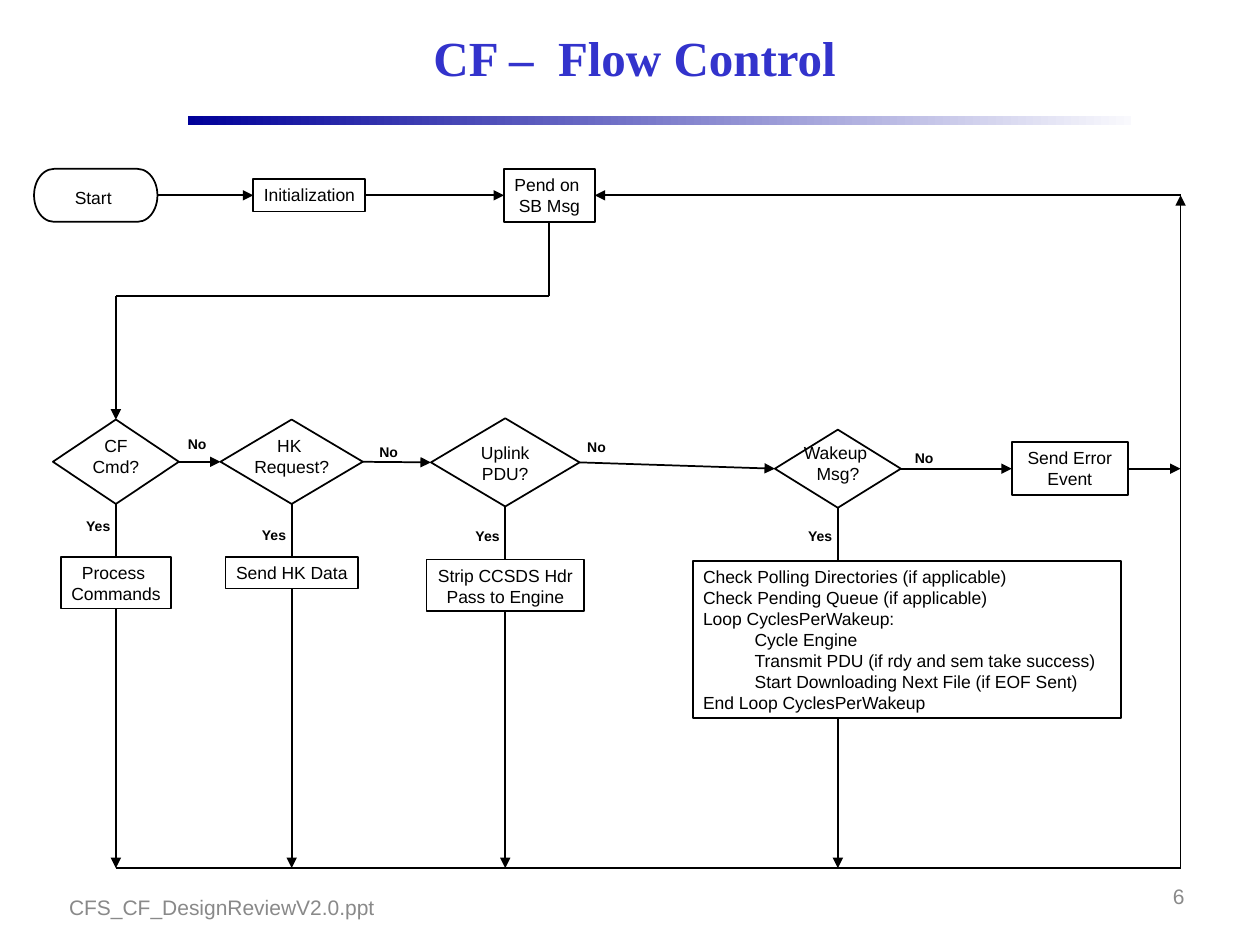
from pptx import Presentation
from pptx.dml.color import RGBColor as RGB
from pptx.enum.shapes import MSO_CONNECTOR as Link, MSO_SHAPE as Form
from pptx.enum.text import MSO_ANCHOR as Anchor, PP_ALIGN as Align
from pptx.oxml.ns import qn
from pptx.util import Inches, Pt
from lxml.etree import SubElement as Sub

BLACK = RGB(0, 0, 0)
WHITE = RGB(255, 255, 255)
BLUE = RGB(0x33, 0x33, 0xCC)
NAVY = RGB(0, 0, 0x99)
PALE = RGB(0xF9, 0xF9, 0xFD)
GRAY = RGB(0x89, 0x89, 0x89)
TOP, LEFT, BOTTOM, RIGHT = range(4)
TAB = "\t"


def span(box):
    return [Inches(v) for v in box]


def write(shape, text, size=10, color=BLACK, bold=False, align=Align.CENTER,
          wrap=False, anchor=Anchor.TOP, pad=(0.08, 0.04)):
    frame = shape.text_frame
    frame.word_wrap = wrap
    frame.vertical_anchor = anchor
    frame.margin_left = frame.margin_right = Inches(pad[0])
    frame.margin_top = frame.margin_bottom = Inches(pad[1])
    for i, line in enumerate(text.split("\n")):
        para = frame.add_paragraph() if i else frame.paragraphs[0]
        para.text = line.lstrip(TAB)
        para.alignment = align
        font = para.font
        font.name, font.size, font.bold = "Arial", Pt(size), bold
        font.color.rgb = color
        if line.startswith(TAB):
            para._p.get_or_add_pPr().set("marL", str(Inches(0.41)))


def note(slide, box, text, **look):
    write(slide.shapes.add_textbox(*span(box)), text, **look)


def tag(slide, x, y, text):
    width = 0.36 if text == "Yes" else 0.31
    note(slide, (x, y, width, 0.21), text, size=8, bold=True)


def node(slide, form, box, text="", fill=None, **look):
    shape = slide.shapes.add_shape(form, *span(box))
    shape.shadow.inherit = False
    if fill is None:
        shape.fill.background()
    else:
        shape.fill.solid()
        shape.fill.fore_color.rgb = fill
    shape.line.color.rgb = BLACK
    shape.line.width = Pt(1)
    if text:
        write(shape, text, **look)
    return shape


def wire(slide, start, end, arrow=True):
    joins = [not isinstance(p[0], (int, float)) for p in (start, end)]
    a, b = [(0, 0) if j else span(p) for j, p in zip(joins, (start, end))]
    line = slide.shapes.add_connector(Link.STRAIGHT, *a, *b)
    if joins[0]:
        line.begin_connect(*start)
    if joins[1]:
        line.end_connect(*end)
    line.line.color.rgb = BLACK
    line.line.width = Pt(1)
    props = line._element.spPr
    if arrow:
        Sub(props.find(qn("a:ln")), qn("a:tailEnd"), type="triangle")
    Sub(props, qn("a:effectLst"))


def head(slide, box):
    x, y, w, h = box
    bar = slide.shapes.add_shape(Form.RECTANGLE, *span((x - 0.01, y + 0.84, 7.49, 0.07)))
    bar.shadow.inherit = False
    bar.line.fill.background()
    bar.fill.gradient()
    bar.fill.gradient_angle = 0
    for stop, color in zip(bar.fill.gradient_stops, (NAVY, PALE)):
        stop.color.rgb = color
    title = slide.shapes.title
    title.left, title.top, title.width, title.height = span(box)
    title.text_frame.text = "CF –  Flow Control "
    title.text_frame.vertical_anchor = Anchor.MIDDLE
    para = title.text_frame.paragraphs[0]
    para.alignment = Align.CENTER
    font = para.font
    font.name, font.size, font.bold = "Times New Roman", Pt(28), True
    font.color.rgb = BLUE


def intro(slide, box):
    x, y, w, h = box
    start = node(slide, Form.FLOWCHART_TERMINATOR, (x, y, 0.98, h))
    note(slide, (x + 0.17, y + 0.1, 0.6, 0.25), "Start")
    init = node(slide, Form.RECTANGLE, (x + 1.74, y + 0.08, 0.89, h - 0.16),
                "Initialization")
    pend = node(slide, Form.RECTANGLE, (x + w - 0.72, y, 0.72, h), "Pend on \nSB Msg")
    wire(slide, (start, RIGHT), (init, LEFT))
    wire(slide, (init, RIGHT), (pend, LEFT))
    return pend


def branch(slide, box, text, inner, yes, no, task, rail):
    x, y, w, h = box
    mid, low = x + w / 2, y + h
    test = node(slide, Form.FLOWCHART_DECISION, box)
    drop, width = inner
    note(slide, (mid - width / 2, y + drop, width, 0.41), text)
    tag(slide, mid - 0.32, low + yes, "Yes")
    tag(slide, x + w + no[0], y + no[1], "No")
    words, wide, tall, shift, look = task
    job = node(slide, Form.RECTANGLE,
               (mid + shift - wide / 2, low + 0.42, wide, tall), words, **look)
    if shift:
        wire(slide, (test, BOTTOM), (mid, low + 0.42), False)
        wire(slide, (mid, low + 0.42 + tall), (mid, rail))
    else:
        wire(slide, (test, BOTTOM), (job, TOP), False)
        wire(slide, (job, BOTTOM), (mid, rail))
    return test


def tests(slide, rail):
    body = dict(align=Align.LEFT, wrap=True)
    loop = "\n".join((
        "Check Polling Directories (if applicable)",
        "Check Pending Queue (if applicable)",
        "Loop CyclesPerWakeup:",
        TAB + "Cycle Engine",
        TAB + "Transmit PDU (if rdy and sem take success)",
        TAB + "Start Downloading Next File (if EOF Sent)",
        "End Loop CyclesPerWakeup"))
    rows = (
        ((0.42, 3.33, 1, 0.67), "CF\nCmd?", (0.08, 0.7), 0.07, (-0.01, 0.09),
         ("Process \nCommands", 0.87, 0.41, 0, {})),
        ((1.75, 3.33, 1.13, 0.67), "HK \nRequest?", (0.08, 0.95), 0.14, (0.05, 0.15),
         ("Send HK Data", 1.05, 0.25, 0, {})),
        ((3.42, 3.32, 1.18, 0.7), "Uplink\nPDU?", (0.15, 0.7), 0.13, (-0.02, 0.12),
         ("Strip CCSDS Hdr\nPass to Engine", 1.25, 0.41, 0, {})),
        ((6.15, 3.41, 1, 0.62), "Wakeup \nMsg?", (0.06, 0.85), 0.12, (0.03, 0.12),
         (loop, 3.4, 1.25, 0.55, body)))
    chain = [branch(slide, *row, rail) for row in rows]
    chain.append(node(slide, Form.RECTANGLE, (8.03, 3.51, 0.92, 0.42),
                      "Send Error\nEvent", fill=WHITE))
    for one, two in zip(chain, chain[1:]):
        wire(slide, (one, RIGHT), (two, LEFT))
    return chain[0], chain[-1]


def route(slide, box, pend, first, last):
    x, y, w, h = box
    right, low, turn = x + w, y + h, 2.35
    wire(slide, (pend, BOTTOM), (4.36, turn), False)
    wire(slide, (4.36, turn), (x, turn), False)
    wire(slide, (x, turn), (first, TOP))
    wire(slide, (last, RIGHT), (right, 3.72))
    wire(slide, (x, low), (right, low), False)
    wire(slide, (right, low), (right, y))
    wire(slide, (right, y), (pend, RIGHT))


def foot(slide, box):
    x, y, w, h = box
    look = dict(size=12, color=GRAY, wrap=True, anchor=Anchor.MIDDLE, pad=(0.1, 0.05))
    note(slide, (x + w - 2.33, y, 2.33, 0.4), "6", align=Align.RIGHT, **look)
    note(slide, (x, y + 0.09, 6.33, 0.4), "CFS_CF_DesignReviewV2.0.ppt",
         align=Align.LEFT, **look)


def main():
    deck = Presentation()
    deck.slide_width, deck.slide_height = Inches(10), Inches(7.5)
    slide = deck.slides.add_slide(deck.slide_layouts[5])
    head(slide, (1.5, 0.08, 7.17, 0.75))
    pend = intro(slide, (0.27, 1.34, 4.45, 0.42))
    first, last = tests(slide, 6.89)
    route(slide, (0.92, 1.55, 8.45, 5.34), pend, first, last)
    foot(slide, (0.45, 6.91, 9.05, 0.49))
    deck.save("out.pptx")


if __name__ == "__main__":
    main()
